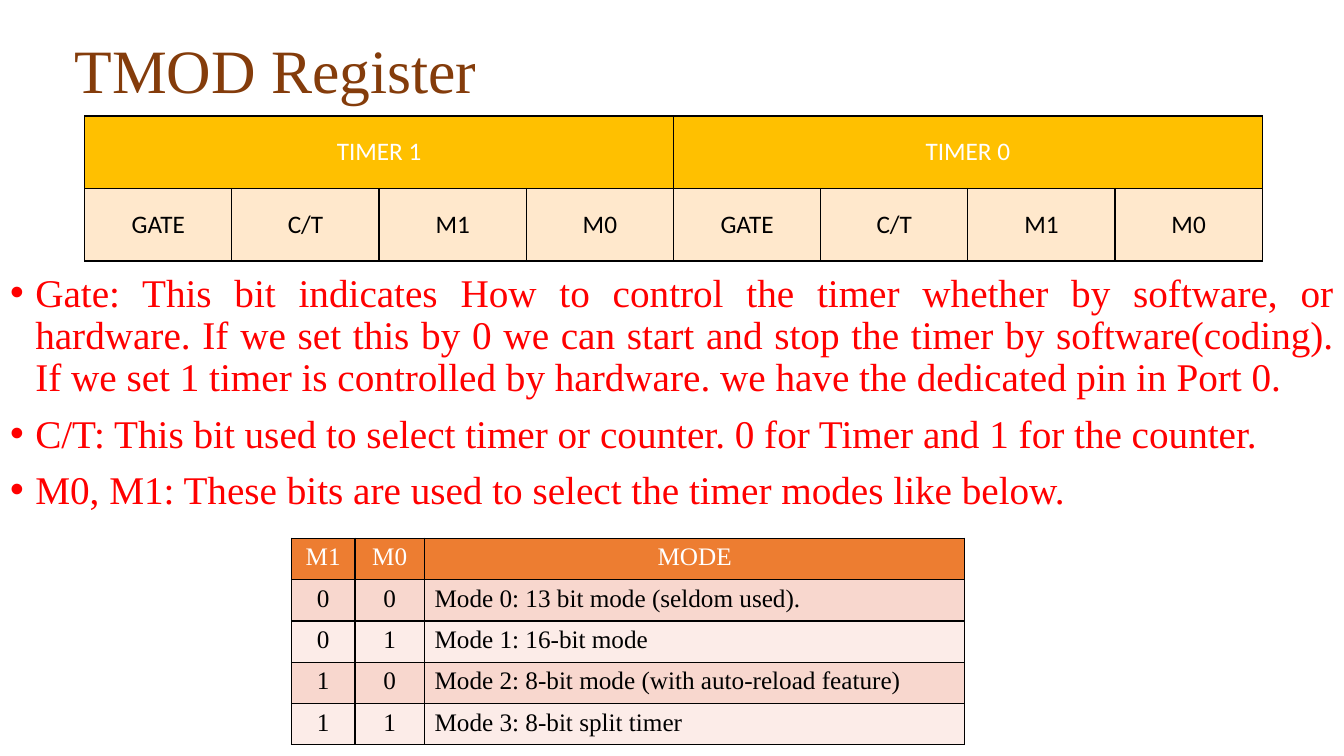
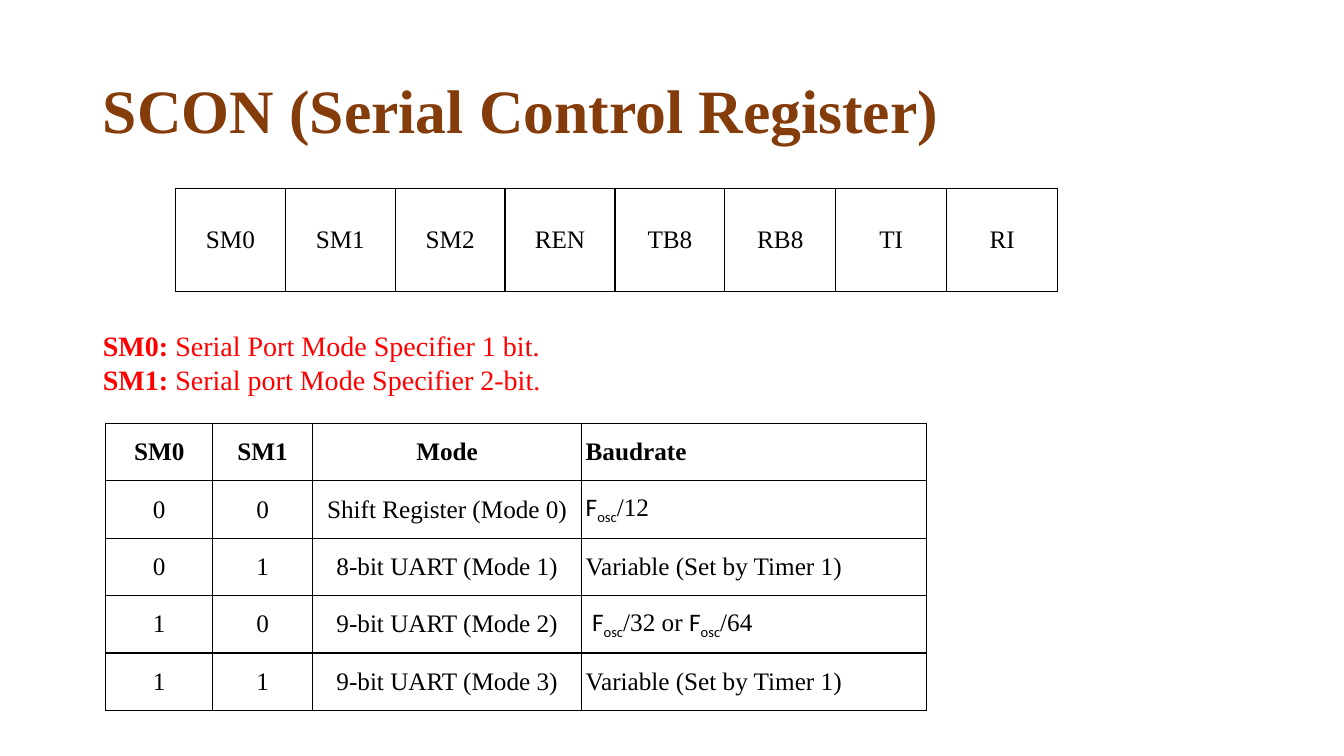
from dataclasses import dataclass
from typing import Optional, Union

import lxml.etree
import pptx
import pptx.dml.color
import pptx.enum.text
import pptx.oxml.ns
import pptx.util

PX = 9144  # EMU per px, 100 px to the inch
ALIGN = pptx.enum.text.PP_ALIGN
MIDDLE = pptx.enum.text.MSO_ANCHOR.MIDDLE
TOP = pptx.enum.text.MSO_ANCHOR.TOP


# Theme
@dataclass(frozen=True)
class Theme:
    serif: str = "Times New Roman"
    sans: str = "Calibri"
    title: str = "843C0B"
    body: str = "FF0000"
    dark: str = "000000"
    white: str = "FFFFFF"
    amber: str = "FFC000"
    cream: str = "FFE8CC"
    orange: str = "ED7D31"
    band_dark: str = "F8D7CE"
    band_light: str = "FCECE8"
    title_size: int = 44
    list_size: int = 28
    note_size: int = 20
    cell_size: int = 18
    border: int = 1


T = Theme()


# Content types
@dataclass(frozen=True)
class Box:
    x: int
    y: int
    w: int
    h: int


@dataclass(frozen=True)
class Run:
    text: str
    bold: Optional[bool] = None
    font: Optional[str] = None
    sub: bool = False


Text = Union[str, tuple[Run, ...]]


@dataclass(frozen=True)
class Row:
    cells: tuple[Text, ...]
    fill: str = T.white
    color: str = T.dark
    bold: bool = False
    span: int = 1
    aligns: tuple[ALIGN, ...] = ()  # empty: the alignment of the columns


@dataclass(frozen=True)
class Grid:
    x: int
    y: int
    cols: tuple[int, ...]
    row_h: int
    rows: tuple[Row, ...]
    font: str = T.serif
    aligns: tuple[ALIGN, ...] = ()  # empty: all centred
    anchor: pptx.enum.text.MSO_ANCHOR = MIDDLE
    margins: tuple[int, int] = (10, 5)  # sides, top and bottom


@dataclass(frozen=True)
class ListStyle:
    size: int
    indent: int
    line: float
    before: int
    bullet: bool


BULLETS = ListStyle(T.list_size, 25, 0.9, 10, True)
NOTES = ListStyle(T.note_size, 0, 1.0, 0, False)


# Helpers
def px(n: int) -> pptx.util.Emu:
    return pptx.util.Emu(n * PX)


def rgb(color: str) -> pptx.dml.color.RGBColor:
    return pptx.dml.color.RGBColor.from_string(color)


def place(sp, box: Box) -> None:
    sp.left, sp.top, sp.width, sp.height = map(px, (box.x, box.y, box.w, box.h))


def write(p, text: Text, font: str, size: int, color: str, bold: bool = False) -> None:
    p.font.name, p.font.size, p.font.bold = font, pptx.util.Pt(size), bold
    p.font.color.rgb = rgb(color)
    for part in (Run(text),) if isinstance(text, str) else text:
        r = p.add_run()
        r.text = part.text
        if part.bold is not None:
            r.font.bold = part.bold
        if part.font:
            r.font.name = part.font
        if part.sub:
            r._r.get_or_add_rPr().set("baseline", "-25000")


def set_borders(cell) -> None:
    tc_pr = cell._tc.get_or_add_tcPr()
    for i, side in enumerate(("lnL", "lnR", "lnT", "lnB")):
        ln = lxml.etree.Element(pptx.oxml.ns.qn(f"a:{side}"),
                                w=str(pptx.util.Pt(T.border)))
        fill = lxml.etree.SubElement(ln, pptx.oxml.ns.qn("a:solidFill"))
        lxml.etree.SubElement(fill, pptx.oxml.ns.qn("a:srgbClr"), val=T.dark)
        tc_pr.insert(i, ln)


# Slide parts
def add_title(s, text: str, box: Box, bold: bool = False) -> None:
    sp = s.shapes.title
    place(sp, box)
    tf = sp.text_frame
    tf.auto_size = pptx.enum.text.MSO_AUTO_SIZE.NONE
    tf.vertical_anchor = MIDDLE
    p = tf.paragraphs[0]
    p.alignment, p.line_spacing = ALIGN.LEFT, 0.9
    write(p, text, T.serif, T.title_size, T.title, bold)


def add_list(s, items: tuple[Text, ...], box: Box, style: ListStyle) -> None:
    sp = s.placeholders[1]
    place(sp, box)
    tf = sp.text_frame
    tf.auto_size = pptx.enum.text.MSO_AUTO_SIZE.NONE
    for i, item in enumerate(items):
        p = tf.add_paragraph() if i else tf.paragraphs[0]
        p_pr = p._p.get_or_add_pPr()
        p_pr.set("marL", str(px(style.indent)))
        p_pr.set("indent", str(px(-style.indent)))
        if not style.bullet:
            lxml.etree.SubElement(p_pr, pptx.oxml.ns.qn("a:buNone"))
        p.alignment, p.line_spacing = ALIGN.JUSTIFY, style.line
        p.space_before = pptx.util.Pt(style.before)
        write(p, item, T.serif, style.size, T.body)


def add_grid(s, grid: Grid) -> None:
    n_rows, n_cols = len(grid.rows), len(grid.cols)
    table = s.shapes.add_table(n_rows, n_cols, px(grid.x), px(grid.y),
                               px(sum(grid.cols)), px(grid.row_h * n_rows)).table
    table.first_row = table.horz_banding = False
    for col, width in zip(table.columns, grid.cols):
        col.width = px(width)
    for i, row in enumerate(grid.rows):
        table.rows[i].height = px(grid.row_h)
        aligns = row.aligns or grid.aligns or (ALIGN.CENTER,) * n_cols
        for j in range(n_cols):
            cell = table.cell(i, j)
            cell.fill.solid()
            cell.fill.fore_color.rgb = rgb(row.fill)
            set_borders(cell)
        for j, text in enumerate(row.cells):
            first = j * row.span
            cell = table.cell(i, first)
            if row.span > 1:
                cell.merge(table.cell(i, first + row.span - 1))
            cell.vertical_anchor = grid.anchor
            cell.margin_left = cell.margin_right = px(grid.margins[0])
            cell.margin_top = cell.margin_bottom = px(grid.margins[1])
            p = cell.text_frame.paragraphs[0]
            p.alignment = aligns[j]
            write(p, text, grid.font, T.cell_size, row.color, row.bold)


# Slides
def build_tmod(s) -> None:
    add_title(s, "TMOD Register", Box(64, 0, 1150, 145))
    add_list(s, (
        "Gate: This bit indicates How to control the timer whether by software, or "
        "hardware. If we set this by 0 we can start and stop the timer by "
        "software(coding). If we set 1 timer is controlled by hardware. we have the "
        "dedicated pin in Port 0.",
        "C/T: This bit used to select timer or counter. 0 for Timer and 1 for the counter.",
        "M0, M1: These bits are used to select the timer modes like below.",
    ), Box(0, 266, 1333, 307), BULLETS)
    add_grid(s, Grid(84, 115, (146,) * 8, 72, (
        Row(("TIMER 1", "TIMER 0"), T.amber, T.white, span=4),
        Row(("GATE", "C/T", "M1", "M0") * 2, T.cream),
    ), font=T.sans))
    modes = ("Mode 0: 13 bit mode (seldom used).", "Mode 1: 16-bit mode",
             "Mode 2: 8-bit mode (with auto-reload feature)", "Mode 3: 8-bit split timer")
    bands = (T.band_dark, T.band_light)
    add_grid(s, Grid(289, 534, (63, 69, 536), 41, (
        Row(("M1", "M0", "MODE"), T.orange, T.white, aligns=(ALIGN.CENTER,) * 3),
        *(Row((str(i // 2), str(i % 2), mode), bands[i % 2])
          for i, mode in enumerate(modes)),
    ), aligns=(ALIGN.CENTER, ALIGN.CENTER, ALIGN.JUSTIFY), anchor=TOP))


def build_scon(s) -> None:
    add_title(s, "SCON (Serial Control Register)", Box(92, 40, 1150, 145), bold=True)
    add_list(s, (
        (Run("SM0:", bold=True), Run(" Serial Port Mode Specifier 1 bit.")),
        (Run("SM1:", bold=True), Run(" Serial port Mode Specifier 2-bit.")),
    ), Box(92, 321, 667, 111), NOTES)
    bits = ("SM0", "SM1", "SM2", "REN", "TB8", "RB8", "TI", "RI")
    add_grid(s, Grid(174, 187, (109,) * 5 + (110,) * 3, 102, (Row(bits),),
                     margins=(8, 8)))
    f_osc = (Run("F", font=T.sans), Run("osc", font=T.sans, sub=True))
    timer_rate = "Variable (Set by Timer 1)"
    modes = (
        ("Shift Register (Mode 0)", (*f_osc, Run("/12"))),
        ("8-bit UART (Mode 1)", timer_rate),
        ("9-bit UART (Mode 2)", (Run(" "), *f_osc, Run("/32 or "), *f_osc, Run("/64"))),
        ("9-bit UART (Mode 3)", timer_rate),
    )
    add_grid(s, Grid(105, 420, (106, 99, 267, 342), 57, (
        Row(("SM0", "SM1", "Mode", "Baudrate"), bold=True),
        *(Row((str(i // 2), str(i % 2), mode, rate))
          for i, (mode, rate) in enumerate(modes)),
    ), aligns=(ALIGN.CENTER,) * 3 + (ALIGN.LEFT,), margins=(4, 4)))


def main() -> None:
    prs = pptx.Presentation()
    prs.slide_width, prs.slide_height = px(1333), px(750)
    for build in (build_tmod, build_scon):
        build(prs.slides.add_slide(prs.slide_layouts[1]))
    prs.save("out.pptx")


if __name__ == "__main__":
    main()
